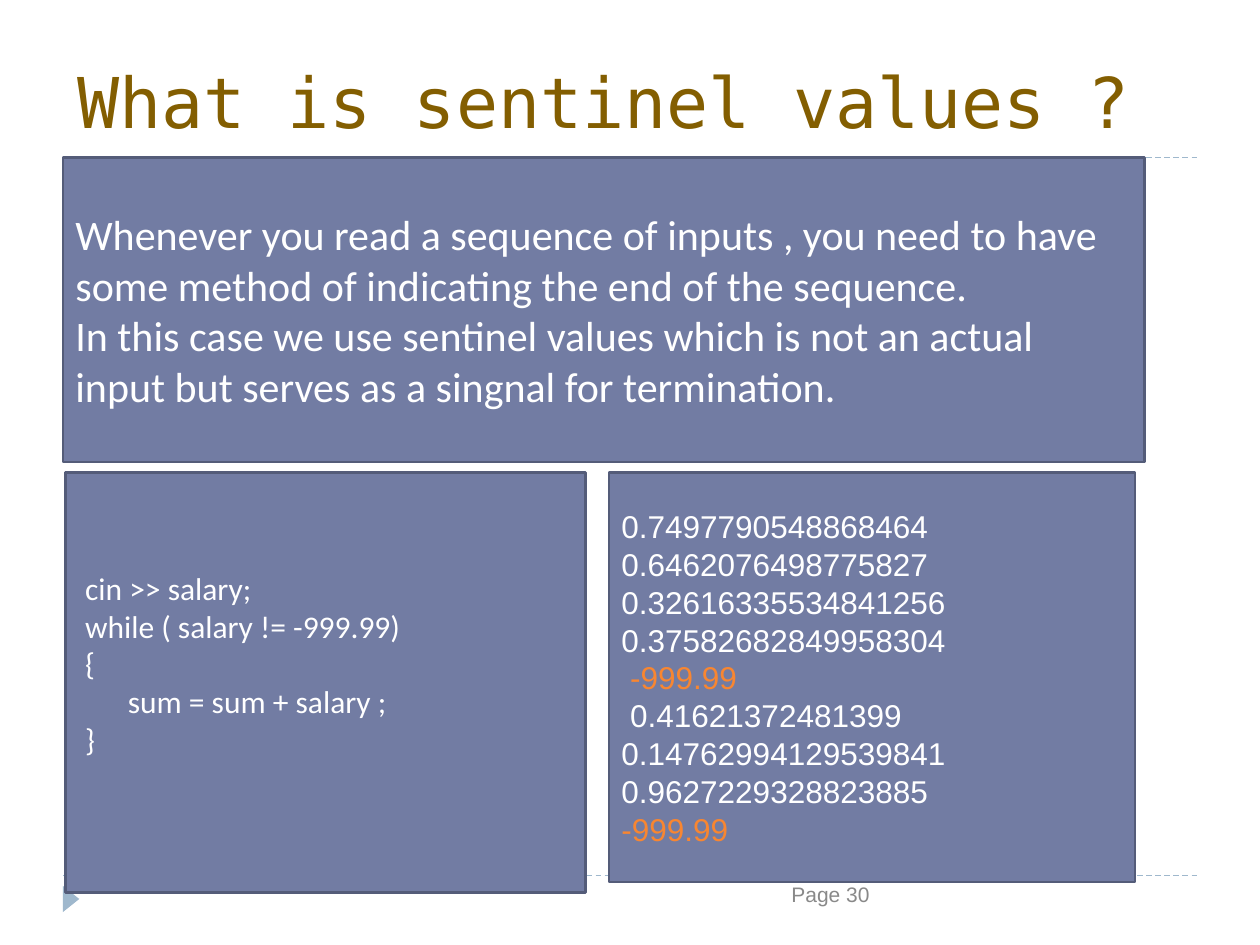
"""Build a slide that explains sentinel values with a code sample and its input."""
import pptx
import pptx.util
import pptx.dml.color
import pptx.enum.dml
import pptx.enum.shapes
import pptx.enum.text
import pptx.oxml.ns
import lxml.etree

Pt = pptx.util.Pt
RGB = pptx.dml.color.RGBColor
ALIGN = pptx.enum.text.PP_ALIGN
ANCHOR = pptx.enum.text.MSO_ANCHOR
SHAPE = pptx.enum.shapes.MSO_SHAPE
qn = pptx.oxml.ns.qn

WHITE = RGB(0xFF, 0xFF, 0xFF)
PANEL = RGB(0x72, 0x7C, 0xA3)
PANEL_EDGE = RGB(0x54, 0x5C, 0x79)
RULE = RGB(0x9F, 0xB8, 0xCD)
TITLE = RGB(0x83, 0x5E, 0x01)
PAGE = RGB(0x89, 0x89, 0x89)
SENTINEL = RGB(0xF8, 0x86, 0x31)

DEFINITION = [
    [("Whenever you read a sequence of inputs , you need to have some method "
      "of indicating the end of the sequence.", None)],
    [("In this case we use sentinel values which is not an actual input but "
      "serves as a singnal for termination.", None)],
]
CODE = [("cin >> salary;", 0), ("while ( salary != -999.99)", 0), ("{", 0),
        ("sum = sum + salary ;", 24.4), ("}", 0)]
INPUTS = [
    [("0.7497790548868464 0.6462076498775827 0.32616335534841256 "
      "0.37582682849958304", None)],
    [(" ", None), ("-999.99", SENTINEL)],
    [(" 0.41621372481399 0.14762994129539841 0.9627229328823885", None)],
    [("-999.99", SENTINEL)],
]


def style(paragraph, face, size, color, align=ALIGN.LEFT):
    """Set the font and alignment of a whole paragraph."""
    paragraph.alignment = align
    paragraph.font.name = face
    paragraph.font.size = Pt(size)
    paragraph.font.color.rgb = color


def write(frame, paragraphs, face, size, color, align=ALIGN.LEFT):
    """Fill a text frame with paragraphs made of (text, colour) runs."""
    frame.word_wrap = True
    for index, runs in enumerate(paragraphs):
        paragraph = frame.add_paragraph() if index else frame.paragraphs[0]
        style(paragraph, face, size, color, align)
        for text, accent in runs:
            run = paragraph.add_run()
            run.text = text
            run.font.name = face
            run.font.size = Pt(size)
            run.font.color.rgb = accent or color


def label(slide, box, text, face, size, color, align, anchor):
    """Place one line of text in a box."""
    frame = slide.shapes.add_textbox(*map(Pt, box)).text_frame
    frame.vertical_anchor = anchor
    write(frame, [[(text, None)]], face, size, color, align)


def panel(slide, box, paragraphs, face, size):
    """Place a filled panel with vertically centred text and return it."""
    block = slide.shapes.add_shape(SHAPE.RECTANGLE, *map(Pt, box))
    block.shadow.inherit = False
    block.fill.solid()
    block.fill.fore_color.rgb = PANEL
    block.line.color.rgb = PANEL_EDGE
    block.line.width = Pt(1.5)
    block.text_frame.vertical_anchor = ANCHOR.MIDDLE
    write(block.text_frame, paragraphs, face, size, WHITE)
    return block


def code_panel(slide, box):
    """Place the code sample, indenting the loop body."""
    frame = panel(slide, box, [[(text, None)] for text, _ in CODE],
                  "Calibri", 18).text_frame
    frame.margin_left = Pt(11.2)
    frame.margin_bottom = Pt(25.6)
    for paragraph, (_, indent) in zip(frame.paragraphs, CODE):
        paragraph._p.get_or_add_pPr().set("marL", str(Pt(indent)))


def frame_rules(slide, box):
    """Draw dashed rules along the top and bottom of a box, and the corner marker."""
    left, top, width, height = box
    for y in (top, top + height):
        rule = slide.shapes.add_connector(
            pptx.enum.shapes.MSO_CONNECTOR.STRAIGHT,
            Pt(left), Pt(y), Pt(left + width), Pt(y))
        rule.line.color.rgb = RULE
        rule.line.width = Pt(0.75)
        rule.line.dash_style = pptx.enum.dml.MSO_LINE.DASH
        lxml.etree.SubElement(rule._element.spPr, qn("a:effectLst"))
    marker = slide.shapes.add_shape(SHAPE.ISOSCELES_TRIANGLE, Pt(left - 2.9),
                                    Pt(top + height + 8.6), Pt(15), Pt(9.4))
    marker.rotation = 90
    marker.shadow.inherit = False
    marker.fill.solid()
    marker.fill.fore_color.rgb = RULE
    marker.line.fill.background()


def sentinel_slide(deck):
    """Assemble the slide from its regions."""
    slide = deck.slides.add_slide(deck.slide_layouts[6])
    frame_rules(slide, (36, 90, 648, 410.4))
    label(slide, (228, 500.4, 276, 28.8), "Page 30", "Arial", 12, PAGE,
          ALIGN.RIGHT, ANCHOR.TOP)
    label(slide, (29.5, 21.6, 654.5, 71.3), "What is sentinel values ? ",
          "DejaVu Sans Mono", 40, TITLE, ALIGN.CENTER, ANCHOR.MIDDLE)
    panel(slide, (36, 90, 618, 174), DEFINITION, "Calibri", 24)
    code_panel(slide, (37.5, 270, 297, 240))
    panel(slide, (348, 270, 300.5, 234), INPUTS, "Arial", 18)


deck = pptx.Presentation()
deck.slide_width, deck.slide_height = Pt(720), Pt(540)
sentinel_slide(deck)
deck.save("out.pptx")
